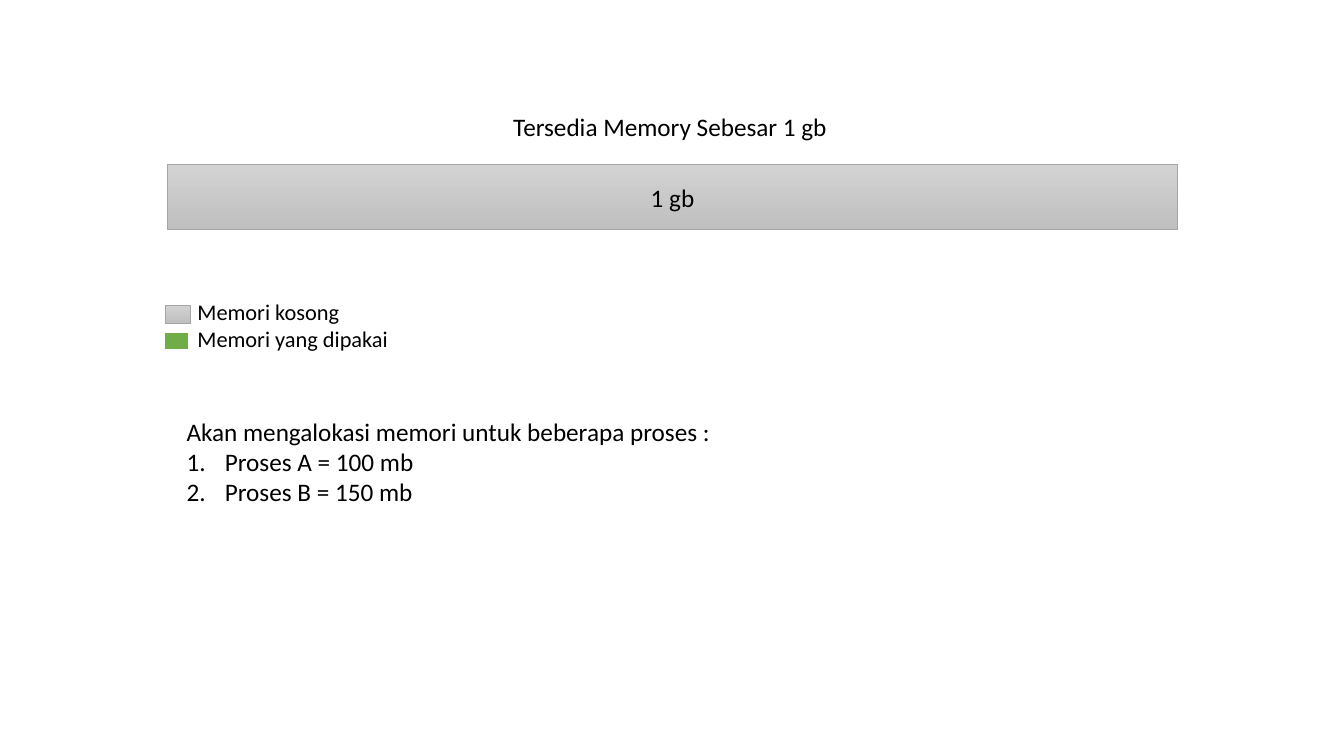
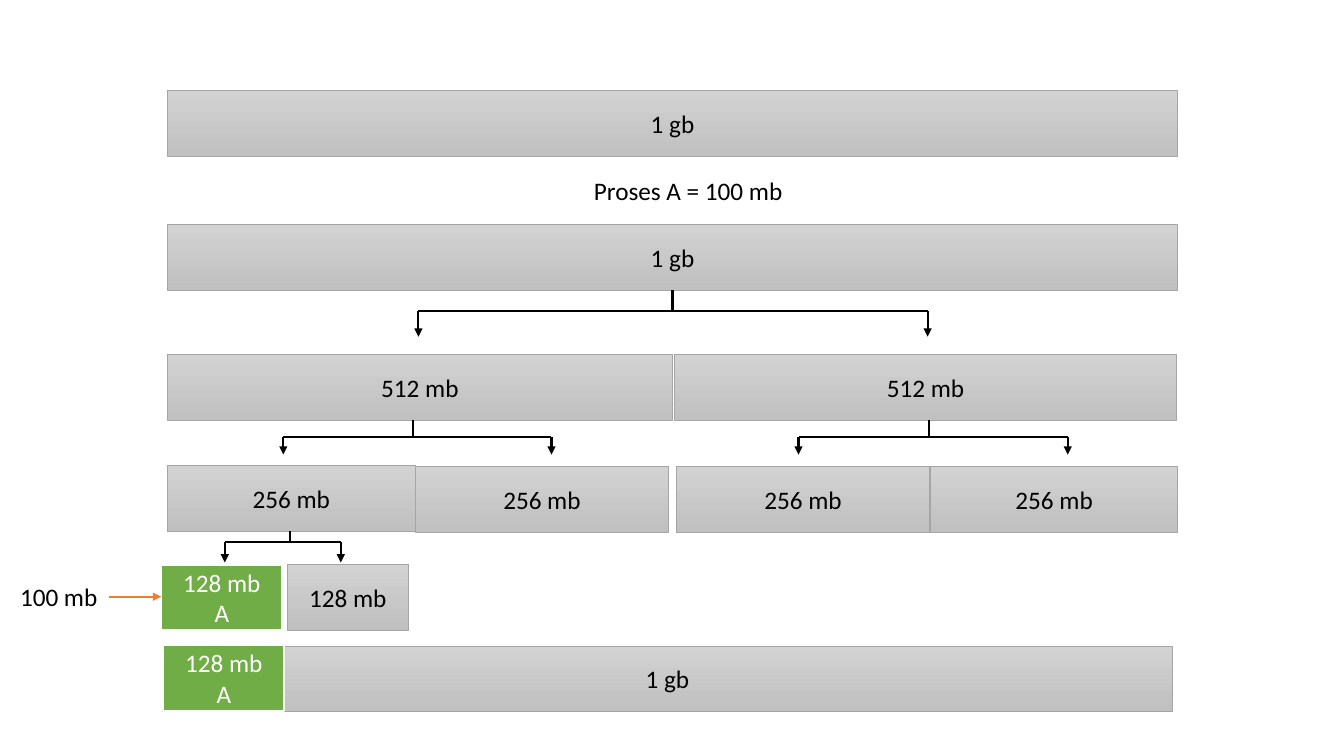
from dataclasses import dataclass

from lxml import etree
from pptx import Presentation
from pptx import util as u
from pptx.dml.color import RGBColor
from pptx.enum import shapes, text
from pptx.oxml import ns


@dataclass(frozen=True)
class Theme:
    """Colours, type and line sizes of the deck."""
    font: str = "Calibri"
    size: int = 18
    small: int = 16
    ink: str = "000000"
    paper: str = "FFFFFF"
    free_top: str = "D2D2D2"
    free_bottom: str = "C0C0C0"
    free_edge: str = "A5A5A5"
    used: str = "70AD47"
    accent: str = "ED7D31"
    thin: float = 0.5
    thick: float = 1.5


class Deck:
    """Draws memory diagrams on a grid of tenth-inch columns and rows."""

    def __init__(self, theme):
        """Open a wide presentation."""
        self.theme = theme
        self.prs = Presentation()
        self.prs.slide_width = u.Inches(13.33)
        self.prs.slide_height = u.Inches(7.5)
        self.s = None

    def grid(self, *cells):
        """Turn grid counts into lengths."""
        return [u.Inches(cell / 10) for cell in cells]

    def slide(self, layout):
        """Start a slide with the given layout."""
        self.s = self.prs.slides.add_slide(self.prs.slide_layouts[layout])
        for sp in list(self.s.placeholders):
            if sp.placeholder_format.idx > 1:
                sp.element.getparent().remove(sp.element)

    def add_lines(self, sp, lines, color, size, align, anchor):
        """Fill a shape with one paragraph for each line."""
        tf = sp.text_frame
        tf.vertical_anchor = anchor
        for i, line in enumerate(lines):
            p = tf.add_paragraph() if i else tf.paragraphs[0]
            p.alignment = align
            p.space_before = u.Pt(0)
            r = p.add_run()
            r.text = line
            r.font.name = self.theme.font
            r.font.size = u.Pt(size)
            r.font.color.rgb = RGBColor.from_string(color)
        return tf

    def place(self, sp, at, lines, size=None):
        """Move a text shape and set plain left-aligned text in it."""
        sp.left, sp.top, sp.width, sp.height = self.grid(*at)
        tf = self.add_lines(sp, lines, self.theme.ink, size or self.theme.size,
                            text.PP_ALIGN.LEFT, text.MSO_ANCHOR.TOP)
        tf.word_wrap = False
        tf.auto_size = text.MSO_AUTO_SIZE.SHAPE_TO_FIT_TEXT
        return tf

    def title(self, at, line):
        """Set the slide title."""
        self.place(self.s.shapes.title, at, [line])

    def numbered(self, at, intro, items):
        """Set the body as an introduction and a numbered list."""
        tf = self.place(self.s.placeholders[1], at, [intro, *items])
        for i, p in enumerate(tf.paragraphs):
            pPr = p._p.get_or_add_pPr()
            hang = u.Inches(0.38) if i else 0
            pPr.set("marL", str(hang))
            pPr.set("indent", str(-hang))
            if i:
                etree.SubElement(pPr, ns.qn("a:buFont"), typeface="+mj-lt")
                etree.SubElement(pPr, ns.qn("a:buAutoNum"), type="arabicPeriod")
            else:
                etree.SubElement(pPr, ns.qn("a:buNone"))

    def label(self, at, *lines, size=None):
        """Add a free text box."""
        self.place(self.s.shapes.add_textbox(*self.grid(*at)), at, lines, size)

    def block(self, at, *lines, used=False):
        """Add a free or used block of memory."""
        t = self.theme
        sp = self.s.shapes.add_shape(shapes.MSO_SHAPE.RECTANGLE, *self.grid(*at))
        sp.shadow.inherit = False
        if used:
            sp.fill.solid()
            sp.fill.fore_color.rgb = RGBColor.from_string(t.used)
        else:
            sp.fill.gradient()
            sp.fill.gradient_angle = 270
            for stop, color in zip(sp.fill.gradient_stops, (t.free_top, t.free_bottom)):
                stop.color.rgb = RGBColor.from_string(color)
        sp.line.color.rgb = RGBColor.from_string(t.paper if used else t.free_edge)
        sp.line.width = u.Pt(t.thick if used else t.thin)
        self.add_lines(sp, lines, t.paper if used else t.ink, t.size,
                       text.PP_ALIGN.CENTER, text.MSO_ANCHOR.MIDDLE)

    def line(self, x1, y1, x2, y2, color=None, arrow=False):
        """Add a straight line or arrow."""
        sp = self.s.shapes.add_connector(shapes.MSO_CONNECTOR.STRAIGHT,
                                         *self.grid(x1, y1, x2, y2))
        sp.line.color.rgb = RGBColor.from_string(color or self.theme.ink)
        sp.line.width = u.Pt(self.theme.thick)
        spPr = sp.element.spPr
        if arrow:
            etree.SubElement(spPr.find(ns.qn("a:ln")), ns.qn("a:tailEnd"), type="triangle")
        etree.SubElement(spPr, ns.qn("a:effectLst"))

    def fork(self, stem, left, right, top, bar, bottom):
        """Split one block into two with a stem, a bar and two arrows."""
        self.line(stem, top, stem, bar)
        self.line(left, bar, right, bar)
        for x in (left, right):
            self.line(x, bar, x, bottom, arrow=True)


BAR = 6.5
LEFT, FULL = 16.6, 100.2
SMALL = 12

deck = Deck(Theme())

deck.slide(1)
deck.title((49.9, 10.5, 33.5, 4), "Tersedia Memory Sebesar 1 gb")
deck.block((LEFT, 16.3, FULL, BAR), "1 gb")
deck.numbered((17.5, 40.8, 54.5, 10.1), "Akan mengalokasi memori untuk beberapa proses :",
              ["Proses A = 100 mb", "Proses B = 150 mb"])
deck.label((18.6, 29.1, 21.1, 6.4), "Memori kosong", "Memori yang dipakai",
           size=deck.theme.small)
deck.block((16.3, 32.9, 2.5, 1.8), used=True)
deck.block((16.4, 30.3, 2.5, 1.8))

deck.slide(5)
deck.title((57.9, 16.9, 20.9, 4), "Proses A = 100 mb")
for left, top, width, amount in (
        (LEFT, 9, FULL, "1 gb"),
        (LEFT, 22.3, FULL, "1 gb"),
        (LEFT, 35.2, 50.1, "512 mb"),
        (66.9, 35.2, 49.8, "512 mb"),
        (LEFT, 46.2, 24.6, "256 mb"),
        (41.2, 46.3, 25.1, "256 mb"),
        (67.1, 46.3, 25.1, "256 mb"),
        (92.3, 46.3, 24.5, "256 mb"),
        (28.5, 56, SMALL, "128 mb"),
        (16.1, 64.1, FULL, "1 gb")):
    deck.block((left, top, width, BAR), amount)
for left, top in ((16, 56), (16.2, 64)):
    deck.block((left, top, SMALL, BAR), "128 mb", "A", used=True)
for stem, left, right, top, bar, bottom in (
        (66.7, 41.5, 92, 28.8, 30.9, 33.4),
        (41, 28.1, 54.7, 41.7, 43.4, 45.1),
        (92.1, 79.2, 105.9, 41.7, 43.4, 45.1),
        (28.8, 22.3, 33.8, 52.7, 53.8, 55.8)):
    deck.fork(stem, left, right, top, bar, bottom)
deck.label((1, 57.2, 9.8, 4), "100 mb")
deck.line(10.8, 59.2, 16, 59.2, color=deck.theme.accent, arrow=True)

deck.prs.save("out.pptx")
